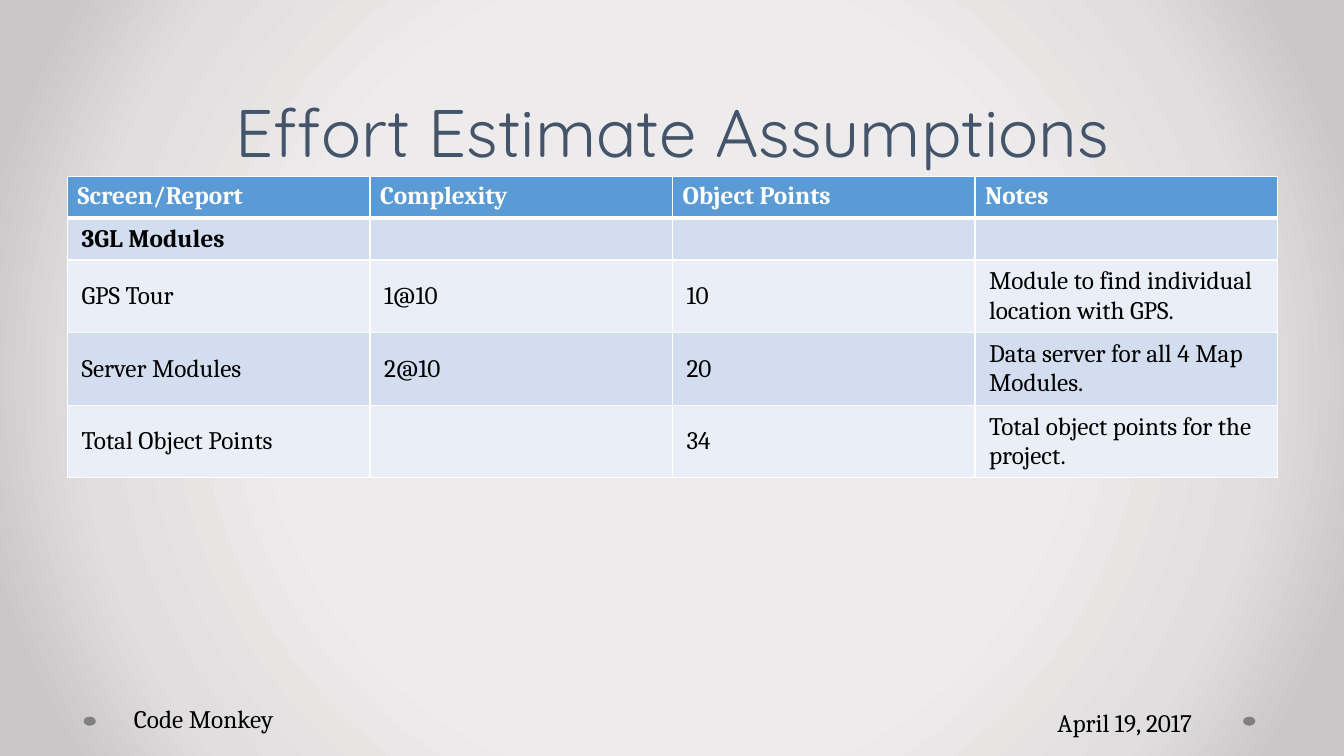
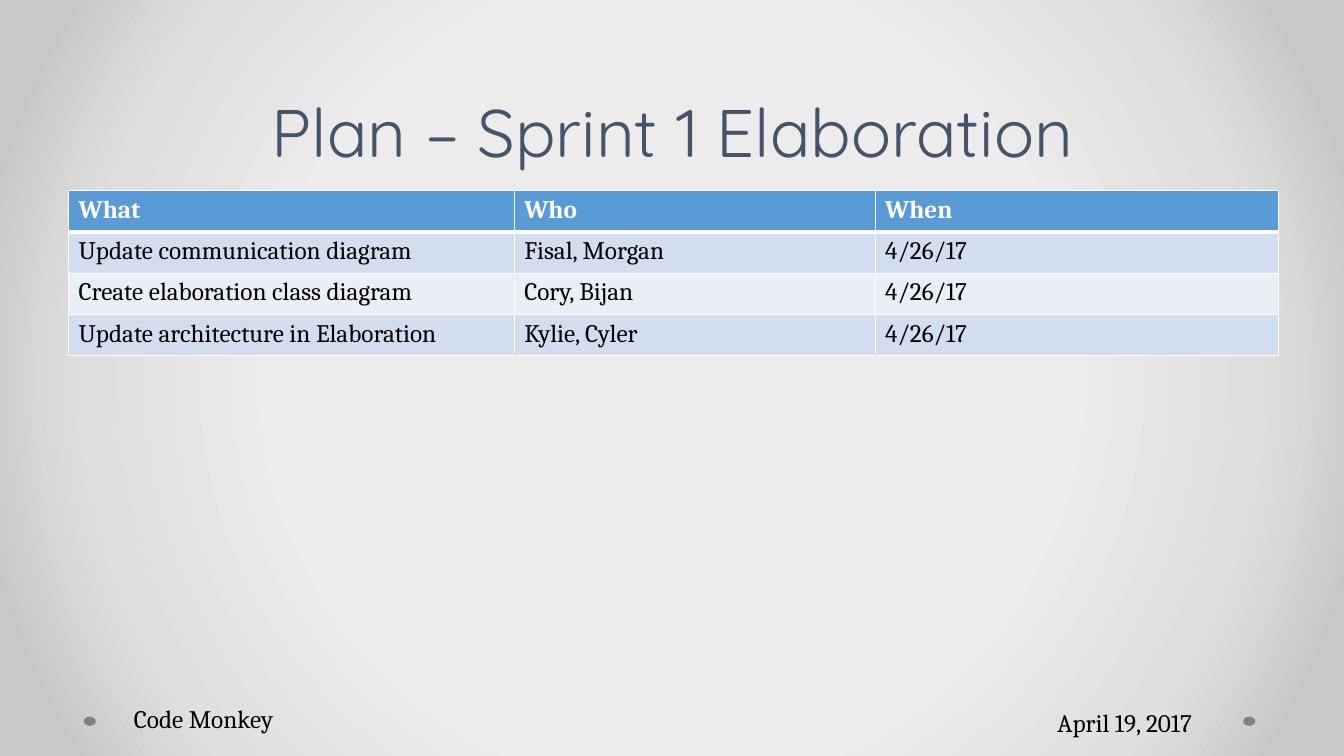
from lxml.etree import SubElement
from pptx import Presentation
from pptx.dml.color import RGBColor
from pptx.enum.shapes import MSO_SHAPE
from pptx.enum.text import MSO_ANCHOR, MSO_AUTO_SIZE, PP_ALIGN
from pptx.oxml import parse_xml
from pptx.oxml.ns import nsdecls, qn
from pptx.util import Inches, Pt

COLORS = {
    "title": "44546A",
    "text": "000000",
    "white": "FFFFFF",
    "header": "5B9BD5",
    "band_dark": "D2DEEF",
    "band_light": "EAEFF7",
    "dot": "808080",
    "glow_inner": "EDEBEB",
    "glow_middle": "E0DEDE",
    "glow_outer": "C9C7C7",
}
TITLE_FONT = "Quicksand"
BODY_FONT = "Cambria"
ROW_HEIGHT = 0.41
CELL_INSETS = (0.14, 0.06)

ESTIMATE_ROWS = [
    ["Screen/Report", "Complexity", "Object Points", "Notes"],
    ["3GL Modules", "", "", ""],
    ["GPS Tour", "1@10", "10", "Module to find individual location with GPS."],
    ["Server Modules", "2@10", "20", "Data server for all 4 Map Modules."],
    ["Total Object Points", "", "34", "Total object points for the project."],
]
PLAN_ROWS = [
    ["What", "Who", "When"],
    ["Update communication diagram", "Fisal, Morgan", "4/26/17"],
    ["Create elaboration class diagram", "Cory, Bijan", "4/26/17"],
    ["Update architecture in Elaboration", "Kylie, Cyler", "4/26/17"],
]


def rgb(name):
    """Return the named palette colour."""
    return RGBColor.from_string(COLORS[name])


def style_text(frame, font, size, color, bold=False):
    """Format every run in a text frame."""
    for para in frame.paragraphs:
        for span in para.runs:
            span.font.name = font
            span.font.size = Pt(size)
            span.font.bold = bold
            span.font.color.rgb = rgb(color)


def set_background(master):
    """Give the slide master a radial grey gradient."""
    master.background.fill.solid()
    properties = master.element.cSld.find(qn("p:bg")).find(qn("p:bgPr"))
    stops = [(50, "glow_inner"), (76, "glow_middle"), (92, "glow_outer")]
    stop_xml = "".join(
        f'<a:gs pos="{percent * 1000}"><a:srgbClr val="{COLORS[name]}"/></a:gs>'
        for percent, name in stops
    )
    gradient = parse_xml(
        f'<a:gradFill {nsdecls("a")} rotWithShape="1"><a:gsLst>{stop_xml}</a:gsLst>'
        '<a:path path="circle"><a:fillToRect l="50000" t="50000" r="50000" b="50000"/>'
        "</a:path></a:gradFill>"
    )
    properties.replace(properties.find(qn("a:solidFill")), gradient)


def add_title(page, text, left, top, width, height):
    """Fill and place the title placeholder."""
    title = page.shapes.title
    title.left, title.top = Inches(left), Inches(top)
    title.width, title.height = Inches(width), Inches(height)
    frame = title.text_frame
    frame.text = text
    frame.auto_size = MSO_AUTO_SIZE.NONE
    frame.word_wrap = True
    frame.vertical_anchor = MSO_ANCHOR.BOTTOM
    para = frame.paragraphs[0]
    para.alignment = PP_ALIGN.CENTER
    para.line_spacing = Pt(48)
    style_text(frame, TITLE_FONT, 48, "title")


def add_footer(page):
    """Place the two footer dots and the footer texts."""
    for left in (0.83, 12.33):
        dot = page.shapes.add_shape(
            MSO_SHAPE.OVAL, Inches(left), Inches(7.11), Inches(0.12), Inches(0.09)
        )
        dot.shadow.inherit = False
        dot.fill.solid()
        dot.fill.fore_color.rgb = rgb("dot")
        dot.line.fill.background()
    labels = [("Code Monkey", 1.23, 6.93, 1.78), ("April 19, 2017", 10.39, 6.97, 1.74)]
    for text, left, top, width in labels:
        box = page.shapes.add_textbox(
            Inches(left), Inches(top), Inches(width), Inches(0.4)
        )
        frame = box.text_frame
        frame.text = text
        frame.word_wrap = False
        frame.auto_size = MSO_AUTO_SIZE.SHAPE_TO_FIT_TEXT
        style_text(frame, BODY_FONT, 18, "text")


def add_borders(cell, top, bottom):
    """Draw white cell borders with the given top and bottom weights."""
    properties = cell._tc.get_or_add_tcPr()
    weights = [("a:lnL", 1), ("a:lnR", 1), ("a:lnT", top), ("a:lnB", bottom)]
    for position, (tag, weight) in enumerate(weights):
        line = SubElement(properties, qn(tag), w=str(Pt(weight)))
        fill = SubElement(line, qn("a:solidFill"))
        SubElement(fill, qn("a:srgbClr"), val=COLORS["white"])
        properties.insert(position, line)


def add_banded_table(page, rows, left, top, widths, insets=None, bold_rows=()):
    """Add a table with a header row and alternating bands."""
    table = page.shapes.add_table(
        len(rows), len(widths), Inches(left), Inches(top),
        Inches(sum(widths)), Inches(ROW_HEIGHT * len(rows)),
    ).table
    for column, width in zip(table.columns, widths):
        column.width = Inches(width)
    for index, values in enumerate(rows):
        is_header = index == 0
        table.rows[index].height = Inches(ROW_HEIGHT)
        band = "header" if is_header else ("band_light", "band_dark")[index % 2]
        for number, text in enumerate(values):
            cell = table.cell(index, number)
            cell.text = text
            style_text(
                cell.text_frame, BODY_FONT, 18, "white" if is_header else "text",
                bold=is_header or index in bold_rows,
            )
            cell.fill.solid()
            cell.fill.fore_color.rgb = rgb(band)
            add_borders(cell, 3 if index == 1 else 1, 3 if is_header else 1)
            if insets and text and not is_header:
                cell.vertical_anchor = MSO_ANCHOR.MIDDLE
                cell.margin_left = cell.margin_right = Inches(insets[0])
                cell.margin_top = cell.margin_bottom = Inches(insets[1])


def add_page(deck, title):
    """Add a slide with the shared title and footer."""
    page = deck.slides.add_slide(deck.slide_layouts[5])
    add_title(page, title, 0.67, 0, 12, 1.75)
    add_footer(page)
    return page


def main():
    """Build and save the deck."""
    deck = Presentation()
    deck.slide_width, deck.slide_height = Inches(13.33), Inches(7.5)
    set_background(deck.slide_master)
    estimate = add_page(deck, "Effort Estimate Assumptions")
    add_banded_table(
        estimate, ESTIMATE_ROWS, 0.67, 1.75, [3] * 4, CELL_INSETS, bold_rows=(1,)
    )
    plan = add_page(deck, "Plan – Sprint 1 Elaboration")
    add_banded_table(plan, PLAN_ROWS, 0.68, 1.89, [4.42, 3.58, 4])
    deck.save("out.pptx")


if __name__ == "__main__":
    main()
